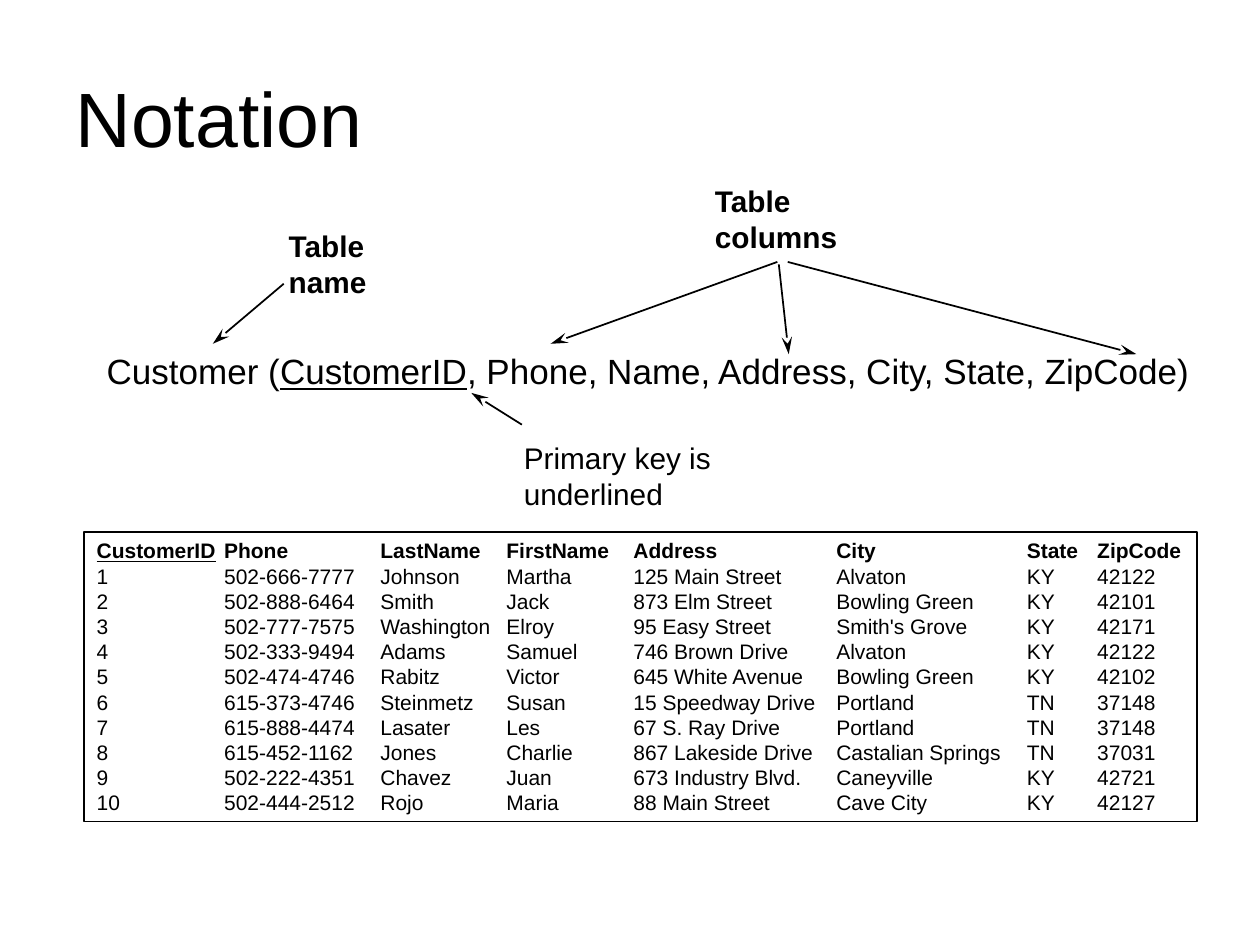
import pptx
import pptx.dml.color
import pptx.enum.shapes
import pptx.enum.text
import pptx.oxml.ns
import pptx.util
from lxml import etree
from pptx.util import Cm

COLOURS = {"ink": "000000", "paper": "FFFFFF"}
FONT = "Arial"
LABELS = [
    ("Table name", (5.57, 4.47, 3.56, 1.7), True),
    ("Primary key is underlined", (10.31, 8.74, 7.01, 1.7), False),
    ("Table columns", (14.16, 3.56, 4.27, 1.7), True),
]
ARROWS = [
    (5.72, 5.72, 4.29, 6.93),
    (15.67, 5.28, 11.1, 6.93),
    (15.88, 5.28, 22.91, 7.14),
    (15.7, 5.33, 15.9, 7.14),
    (10.52, 8.56, 9.5, 7.92),
]
TAB_STOPS = [2.57, 5.72, 8.26, 10.82, 14.91, 18.75, 20.17]
KEY = "CustomerID"
COLUMNS = ["Phone", "LastName", "FirstName", "Address", "City", "State", "ZipCode"]
CUSTOMERS = [
    ("502-666-7777", "Johnson", "Martha", "125 Main Street", "Alvaton", "KY", "42122"),
    ("502-888-6464", "Smith", "Jack", "873 Elm Street", "Bowling Green", "KY", "42101"),
    ("502-777-7575", "Washington", "Elroy", "95 Easy Street", "Smith's Grove", "KY", "42171"),
    ("502-333-9494", "Adams", "Samuel", "746 Brown Drive", "Alvaton", "KY", "42122"),
    ("502-474-4746", "Rabitz", "Victor", "645 White Avenue", "Bowling Green", "KY", "42102"),
    ("615-373-4746", "Steinmetz", "Susan", "15 Speedway Drive", "Portland", "TN", "37148"),
    ("615-888-4474", "Lasater", "Les", "67 S. Ray Drive", "Portland", "TN", "37148"),
    ("615-452-1162", "Jones", "Charlie", "867 Lakeside Drive", "Castalian Springs", "TN", "37031"),
    ("502-222-4351", "Chavez", "Juan", "673 Industry Blvd.", "Caneyville", "KY", "42721"),
    ("502-444-2512", "Rojo", "Maria", "88 Main Street", "Cave City", "KY", "42127"),
]


def colour(name):
    """Return the named colour."""
    return pptx.dml.color.RGBColor.from_string(COLOURS[name])


def add_element(parent, tag, **attributes):
    """Append a DrawingML element to its parent."""
    return etree.SubElement(parent, pptx.oxml.ns.qn(tag), attributes)


def write_paragraph(para, spans, size, bold=False, tabs=()):
    """Fill a paragraph with (text, underlined) spans in one font."""
    para.alignment = pptx.enum.text.PP_ALIGN.LEFT
    if tabs:
        tab_list = add_element(para._p.get_or_add_pPr(), "a:tabLst")
        for stop in tabs:
            add_element(tab_list, "a:tab", pos=str(int(Cm(stop))), algn="l")
    para.font.name = FONT
    para.font.size = pptx.util.Pt(size)
    para.font.bold = bold
    para.font.color.rgb = colour("ink")
    for text, underlined in spans:
        span = para.add_run()
        span.text = text
        if underlined:
            span.font.underline = True


def add_title(page, text):
    """Place and format the page title."""
    title = page.shapes.title
    title.left, title.top, title.width, title.height = map(Cm, (1.27, 0.76, 22.86, 3.18))
    title.text_frame.auto_size = pptx.enum.text.MSO_AUTO_SIZE.NONE
    title.text_frame.vertical_anchor = pptx.enum.text.MSO_ANCHOR.MIDDLE
    write_paragraph(title.text_frame.paragraphs[0], [(text, False)], 44)


def add_text(page, place, spans, size, bold=False):
    """Add a wrapping text box of one paragraph."""
    box = page.shapes.add_textbox(*map(Cm, place))
    box.text_frame.word_wrap = True
    write_paragraph(box.text_frame.paragraphs[0], spans, size, bold)


def add_arrow(page, ends):
    """Add a thin line with a stealth arrowhead at its end."""
    arrow = page.shapes.add_connector(
        pptx.enum.shapes.MSO_CONNECTOR.STRAIGHT, *map(Cm, ends)
    )
    arrow.line.color.rgb = colour("ink")
    arrow.line.width = pptx.util.Pt(1)
    add_element(arrow.line._get_or_add_ln(), "a:tailEnd", type="stealth", w="med", len="lg")
    add_element(arrow._element.spPr, "a:effectLst")


def add_listing(page, place):
    """Add the framed customer listing, aligned on tab stops."""
    frame = page.shapes.add_shape(
        pptx.enum.shapes.MSO_SHAPE.RECTANGLE, *map(Cm, place)
    )
    frame.shadow.inherit = False
    frame.fill.background()
    frame.line.color.rgb = colour("ink")
    frame.line.width = pptx.util.Pt(1)
    body = frame.text_frame
    body.word_wrap = True
    body.vertical_anchor = pptx.enum.text.MSO_ANCHOR.TOP
    header = [(KEY, True), ("\t" + "\t".join(COLUMNS), False)]
    write_paragraph(body.paragraphs[0], header, 12, True, TAB_STOPS)
    for number, customer in enumerate(CUSTOMERS, 1):
        row = "\t".join((str(number), *customer))
        write_paragraph(body.add_paragraph(), [(row, False)], 12, False, TAB_STOPS)


def main():
    """Build the notation slide and save it."""
    deck = pptx.Presentation()
    deck.slide_width, deck.slide_height = Cm(25.4), Cm(19.05)
    page = deck.slides.add_slide(deck.slide_layouts.get_by_name("Title Only"))
    page.background.fill.solid()
    page.background.fill.fore_color.rgb = colour("paper")
    add_title(page, "Notation")
    for text, place, bold in LABELS:
        add_text(page, place, [(text, False)], 17, bold)
    relation = [
        ("Customer (", False),
        (KEY, True),
        (", Phone, Name, Address, City, State, ZipCode)", False),
    ]
    add_text(page, (1.9, 6.93, 22.86, 1.09), relation, 20)
    for ends in ARROWS:
        add_arrow(page, ends)
    add_listing(page, (1.7, 10.72, 22.43, 5.84))
    deck.save("out.pptx")


if __name__ == "__main__":
    main()
